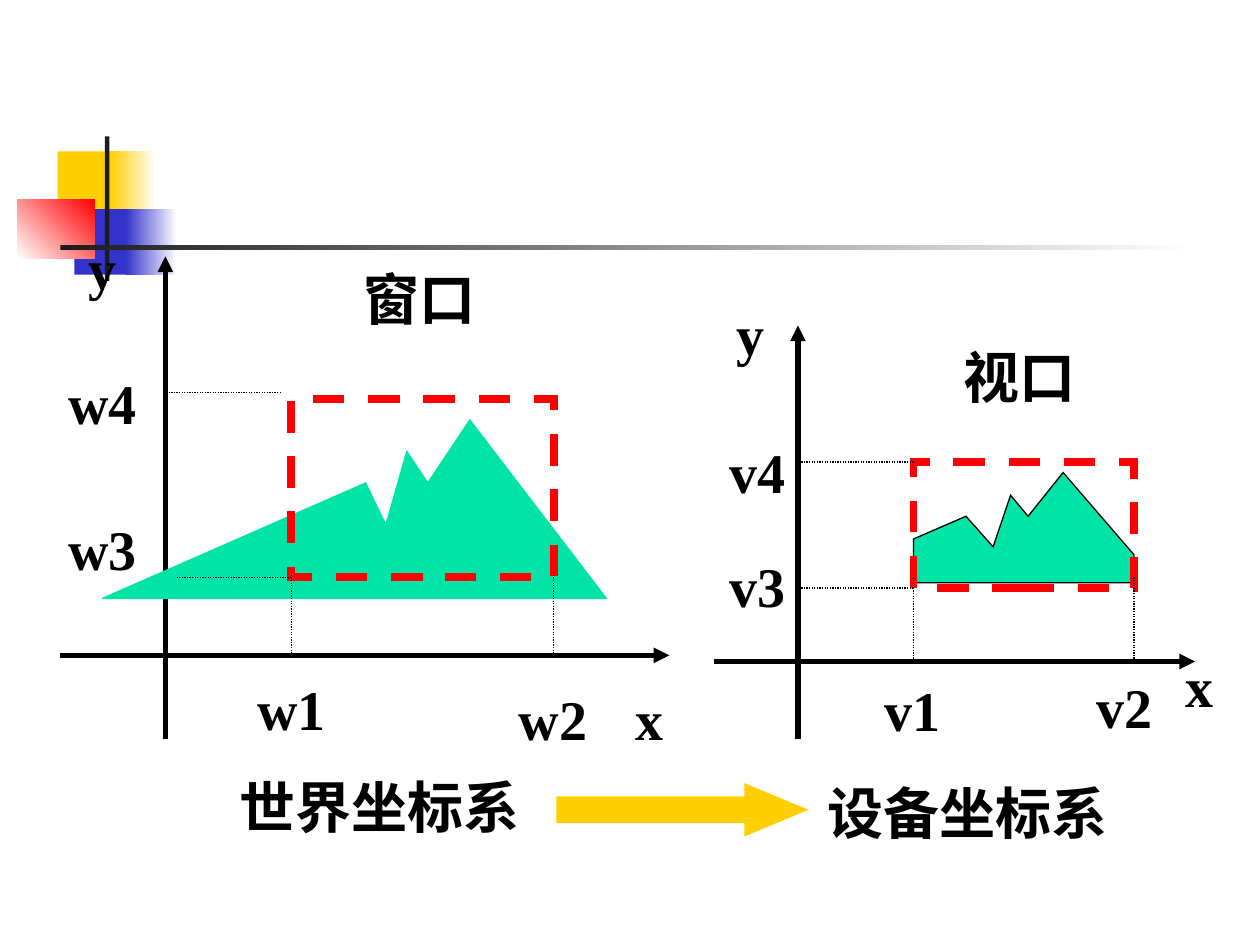
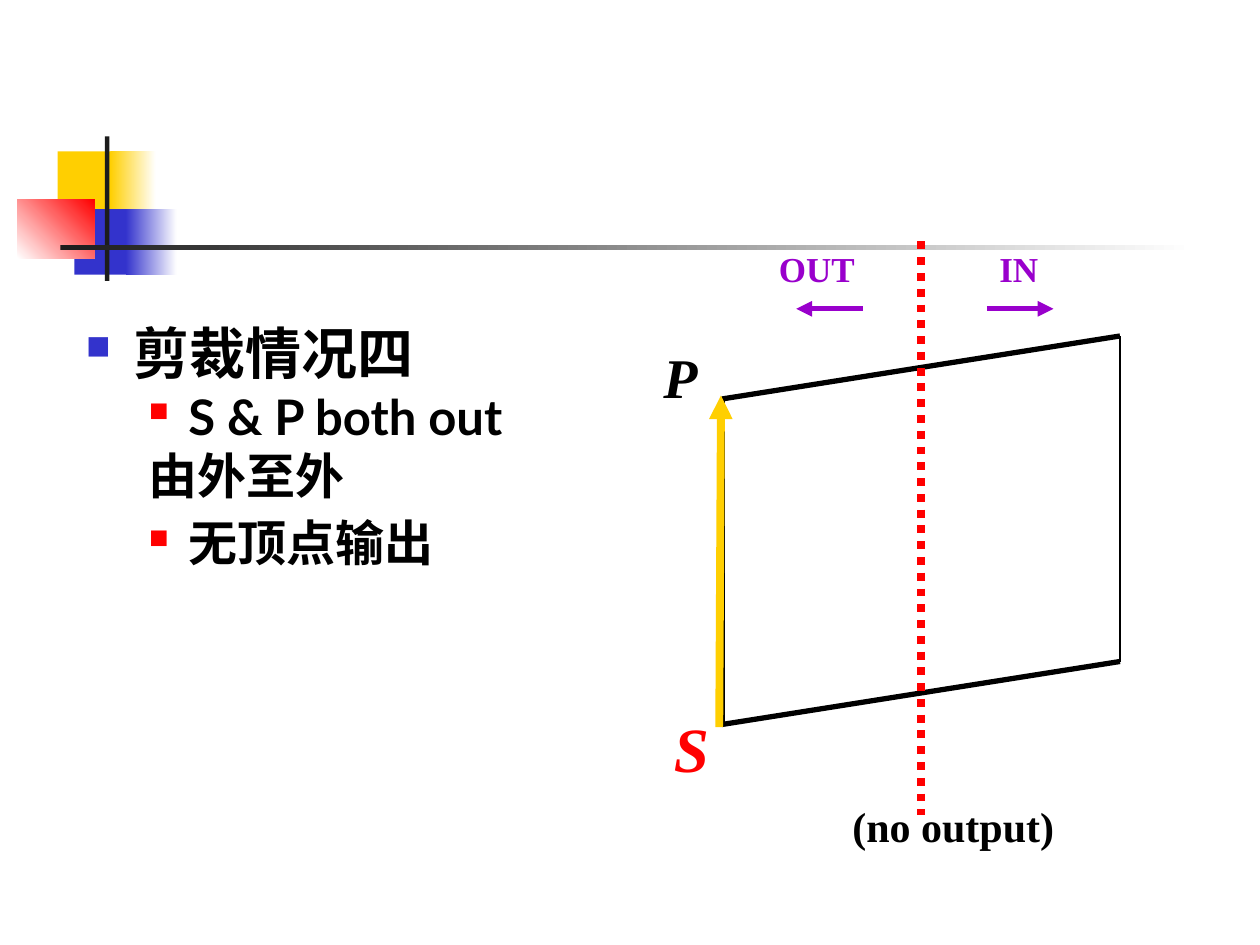
"""Build two slides on window-to-viewport mapping and polygon clipping."""
from dataclasses import dataclass

from lxml import etree
from pptx import Presentation
from pptx.dml.color import RGBColor
from pptx.enum import dml, shapes, text
from pptx.oxml import ns
from pptx.util import Pt


@dataclass(frozen=True)
class Theme:
    black: str = "000000"
    ink: str = "1C1C1C"
    white: str = "FFFFFF"
    yellow: str = "FFCF01"
    blue: str = "3333CC"
    red: str = "FF0000"
    green: str = "00E4A8"
    purple: str = "9900CC"
    serif: str = "Times New Roman"
    sans: str = "Lato"
    symbol: str = "Wingdings"
    large: float = 36
    label: float = 32
    sub: float = 28
    note: float = 24
    tag: float = 20
    thick: float = 4.5
    medium: float = 3
    edge: float = 1.5
    thin: float = 0.75


T = Theme()
DASH, DOT = dml.MSO_LINE.DASH, dml.MSO_LINE.ROUND_DOT

BAND = [
    ((33, 86.5, 34.5, 37.5), [T.yellow], 0),
    ((63, 86.5, 26, 37.5), [T.yellow, T.white], 0),
    ((42.5, 119.5, 33, 37.5), [T.blue], 0),
    ((72, 119.5, 29, 37.5), [T.blue, T.white], 0),
    ((10, 114, 44, 33.5), [T.white, T.red], 45),
    ((60, 78, 2.5, 82.5), [T.ink], 0),
    ((34.5, 140, 648, 2.8), [T.ink, T.white], 0),
]

VIEWPORT = {
    "system": ("设备坐标系", (466, 441.5, 200, 54)),
    "axes": [((456, 422.5), (456, 186)), ((408, 378), (683, 378))],
    "labels": [("x", 685.5, 391.5), ("y", 429, 190.5), ("v1", 521.5, 405.5),
               ("v2", 642.5, 403.5), ("v3", 433, 334.5), ("v4", 433, 269),
               ("视口", 582.5, 215)],
    "mountain": [(522, 333), (522, 308), (552, 295), (567.5, 312.5), (577.5, 283),
                 (587.5, 295), (607.5, 270), (648, 317), (648, 333)],
    "outline": T.black,
    "frame": (522, 264, 126, 72),
    "guides": [((522, 330), (522, 378)), ((522, 336), (456, 336)),
               ((522, 264), (456, 264)), ((648, 330), (648, 378))],
}
WINDOW = {
    "system": ("世界坐标系", (130, 438, 180, 54)),
    "axes": [((94.5, 422.5), (94.5, 146.5)), ((34.5, 374.5), (382.5, 374.5))],
    "labels": [("x", 371, 410.5), ("y", 58.5, 152.5), ("w1", 166.5, 404.5),
               ("w2", 316, 410.5), ("w3", 58.5, 313), ("w4", 58.5, 230),
               ("窗口", 240, 170.5)],
    "mountain": [(58.5, 342), (209, 276), (220.5, 300), (232.5, 258),
                 (244.5, 276), (268.5, 240), (346.5, 342)],
    "outline": T.green,
    "frame": (166.5, 228, 150, 102),
    "guides": [((166.5, 327), (166.5, 374.5)), ((166.5, 330), (101, 330)),
               ((160.5, 224.5), (94.5, 224.5)), ((316.5, 327), (316.5, 374.5))],
}
MAPPING_ARROW = (318, 447.5, 144, 30.5)

CASE = [
    ("剪裁情况四", 27, -27, 0, T.label, (T.blue, 60)),
    ("S & P both out", 58.5, -22.5, 7, T.sub, (T.red, 55)),
    ("由外至外", 58.5, -22.5, 7, T.sub, None),
    ("无顶点输出", 58.5, -22.5, 11.5, T.sub, (T.red, 55)),
]
CASE_BOX = (42, 186, 300, 204)
LOWER_LEFT, UPPER_LEFT = (412.5, 414), (412.5, 228)
LOWER_RIGHT, UPPER_RIGHT = (640, 378), (640, 192)
POLYGON = [
    (LOWER_LEFT, UPPER_LEFT, T.medium),
    (UPPER_LEFT, UPPER_RIGHT, T.medium),
    (LOWER_LEFT, LOWER_RIGHT, T.medium),
    (UPPER_RIGHT, LOWER_RIGHT, T.edge),
]
EDGE_ARROW = ((411, 415.5), (412, 226))
BOUNDARY = ((526.5, 138), (526.5, 466))
SIDE_ARROWS = [((493, 176.5), (455, 176.5)), ((564, 176.5), (602, 176.5))]
CLIP_LABELS = [
    ("P", (372, 192, 40, 46), T.label, T.black, True),
    ("S", (378, 402, 40, 50.5), T.large, T.red, True),
    ("IN", (564, 138, 50, 31.5), T.tag, T.purple, False),
    ("OUT", (438, 138, 72, 31.5), T.tag, T.purple, False),
]
NOTE = ("(no output)", (480, 457.5, 150, 29))


def rgb(code):
    return RGBColor.from_string(code)


def pts(values):
    return [Pt(v) for v in values]


def stroke(line, color, width, dash=None):
    line.color.rgb = rgb(color)
    line.width = Pt(width)
    if dash:
        line.dash_style = dash


def paint(sp, colors=(), angle=0, line=None, width=T.thin, dash=None):
    sp.shadow.inherit = False
    if len(colors) == 2:
        sp.fill.gradient()
        sp.fill.gradient_angle = angle
        for stop, color in zip(sp.fill.gradient_stops, colors):
            stop.color.rgb = rgb(color)
    elif colors:
        sp.fill.solid()
        sp.fill.fore_color.rgb = rgb(colors[0])
    else:
        sp.fill.background()
    if line:
        stroke(sp.line, line, width, dash)
        etree.SubElement(sp.line._get_or_add_ln(), ns.qn("a:miter"), lim="800000")
    else:
        sp.line.fill.background()


def add_shape(s, kind, box, **look):
    sp = s.shapes.add_shape(kind, *pts(box))
    paint(sp, **look)
    return sp


def add_line(s, start, end, color=T.black, width=T.medium, dash=None, arrow=False):
    sp = s.shapes.add_connector(shapes.MSO_CONNECTOR.STRAIGHT, *pts(start + end))
    stroke(sp.line, color, width, dash)
    if arrow:
        etree.SubElement(sp.line._get_or_add_ln(), ns.qn("a:tailEnd"), type="triangle")
    etree.SubElement(sp._element.spPr, ns.qn("a:effectLst"))


def set_font(p, size, color=T.black, name=T.serif, italic=False):
    f = p.font
    f.name, f.size, f.bold, f.italic = name, Pt(size), True, italic
    f.color.rgb = rgb(color)


def add_text(s, words, box, size=T.label, color=T.black, italic=False,
             inset=(7.2, 3.6), centred=False):
    tf = s.shapes.add_textbox(*pts(box)).text_frame
    tf.word_wrap = True
    tf.auto_size = text.MSO_AUTO_SIZE.NONE
    tf.margin_left = tf.margin_right = Pt(inset[0])
    tf.margin_top = tf.margin_bottom = Pt(inset[1])
    p = tf.paragraphs[0]
    p.text = words
    if centred:
        tf.vertical_anchor = text.MSO_ANCHOR.MIDDLE
        p.alignment = text.PP_ALIGN.CENTER
    set_font(p, size, color, italic=italic)


def add_bullet(p, indent, hang, bullet):
    pr = p._p.get_or_add_pPr()
    pr.set("marL", str(Pt(indent)))
    pr.set("indent", str(Pt(hang)))
    if not bullet:
        etree.SubElement(pr, ns.qn("a:buNone"))
        return
    color, percent = bullet
    clr = etree.SubElement(pr, ns.qn("a:buClr"))
    etree.SubElement(clr, ns.qn("a:srgbClr"), val=color)
    etree.SubElement(pr, ns.qn("a:buSzPct"), val=str(percent * 1000))
    etree.SubElement(pr, ns.qn("a:buFont"), typeface=T.symbol, charset="2")
    etree.SubElement(pr, ns.qn("a:buChar"), char="n")


def add_case(s):
    tf = s.shapes.add_textbox(*pts(CASE_BOX)).text_frame
    tf.word_wrap = True
    for i, (words, indent, hang, before, size, bullet) in enumerate(CASE):
        p = tf.add_paragraph() if i else tf.paragraphs[0]
        p.text = words
        add_bullet(p, indent, hang, bullet)
        p.line_spacing = 0.8
        p.space_before = Pt(before)
        set_font(p, size, name=T.sans)


def add_diagram(s, d):
    for start, end in d["axes"]:
        add_line(s, start, end, arrow=True)
    for words, x, y in d["labels"]:
        half = 20 * len(words)
        add_text(s, words, (x - half, y - 24, 2 * half, 48), inset=(0, 0), centred=True)
    first, *rest = [tuple(pts(point)) for point in d["mountain"]]
    builder = s.shapes.build_freeform(*first)
    builder.add_line_segments(rest, close=True)
    paint(builder.convert_to_shape(), [T.green], line=d["outline"])
    add_shape(s, shapes.MSO_SHAPE.RECTANGLE, d["frame"],
              line=T.red, width=T.thick, dash=DASH)
    for start, end in d["guides"]:
        add_line(s, start, end, width=T.thin, dash=DOT)
    add_text(s, *d["system"])


def new_slide(prs):
    s = prs.slides.add_slide(prs.slide_layouts[6])
    for box, colors, angle in BAND:
        add_shape(s, shapes.MSO_SHAPE.RECTANGLE, box, colors=colors, angle=angle)
    return s


def mapping_slide(prs):
    s = new_slide(prs)
    sp = add_shape(s, shapes.MSO_SHAPE.RIGHT_ARROW, MAPPING_ARROW, colors=[T.yellow])
    sp.adjustments[1] = 1.2
    for diagram in (VIEWPORT, WINDOW):
        add_diagram(s, diagram)


def clipping_slide(prs):
    s = new_slide(prs)
    add_case(s)
    for start, end, width in POLYGON:
        add_line(s, start, end, width=width)
    add_line(s, *EDGE_ARROW, color=T.yellow, width=T.thick, arrow=True)
    add_text(s, *NOTE, size=T.note, inset=(7.2, 0))
    add_line(s, *BOUNDARY, color=T.red, width=T.thick, dash=DOT)
    for label in CLIP_LABELS:
        add_text(s, *label)
    for start, end in SIDE_ARROWS:
        add_line(s, start, end, color=T.purple, arrow=True)


def main():
    prs = Presentation()
    prs.slide_width, prs.slide_height = Pt(720), Pt(540)
    mapping_slide(prs)
    clipping_slide(prs)
    prs.save("out.pptx")


if __name__ == "__main__":
    main()
